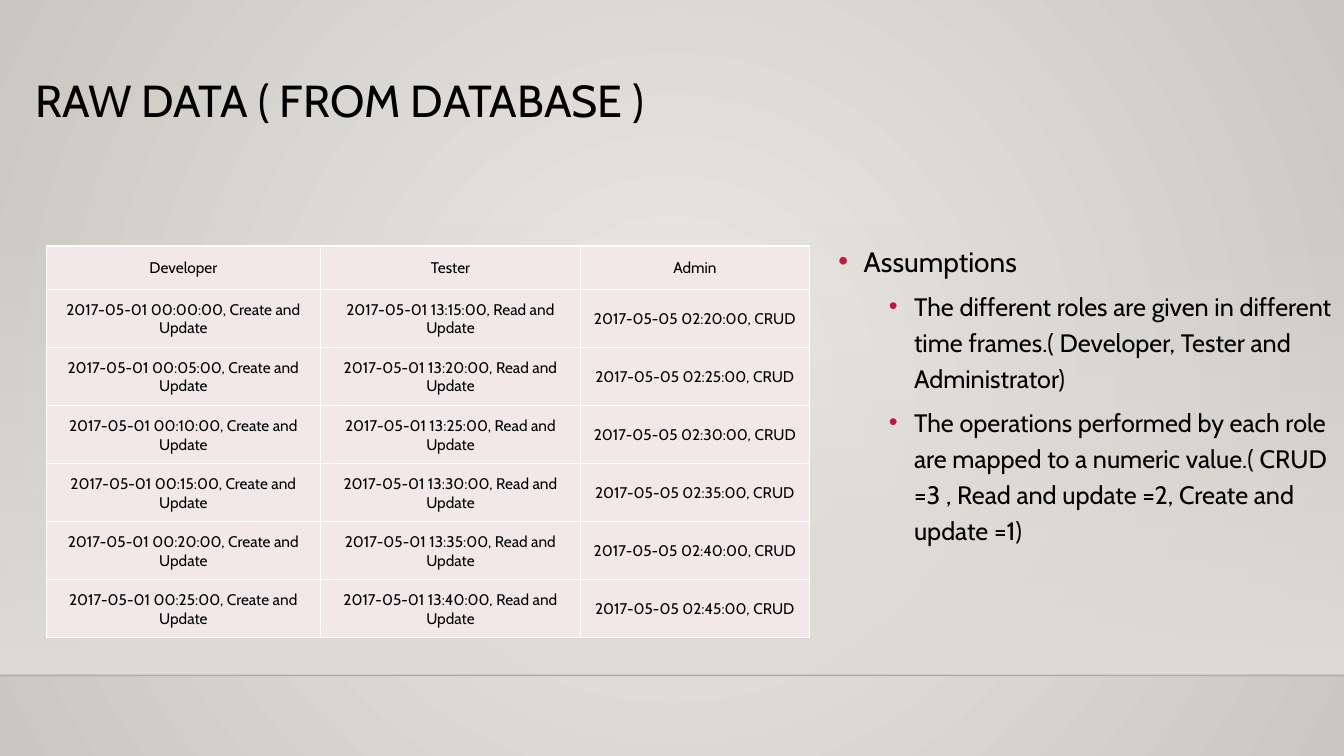
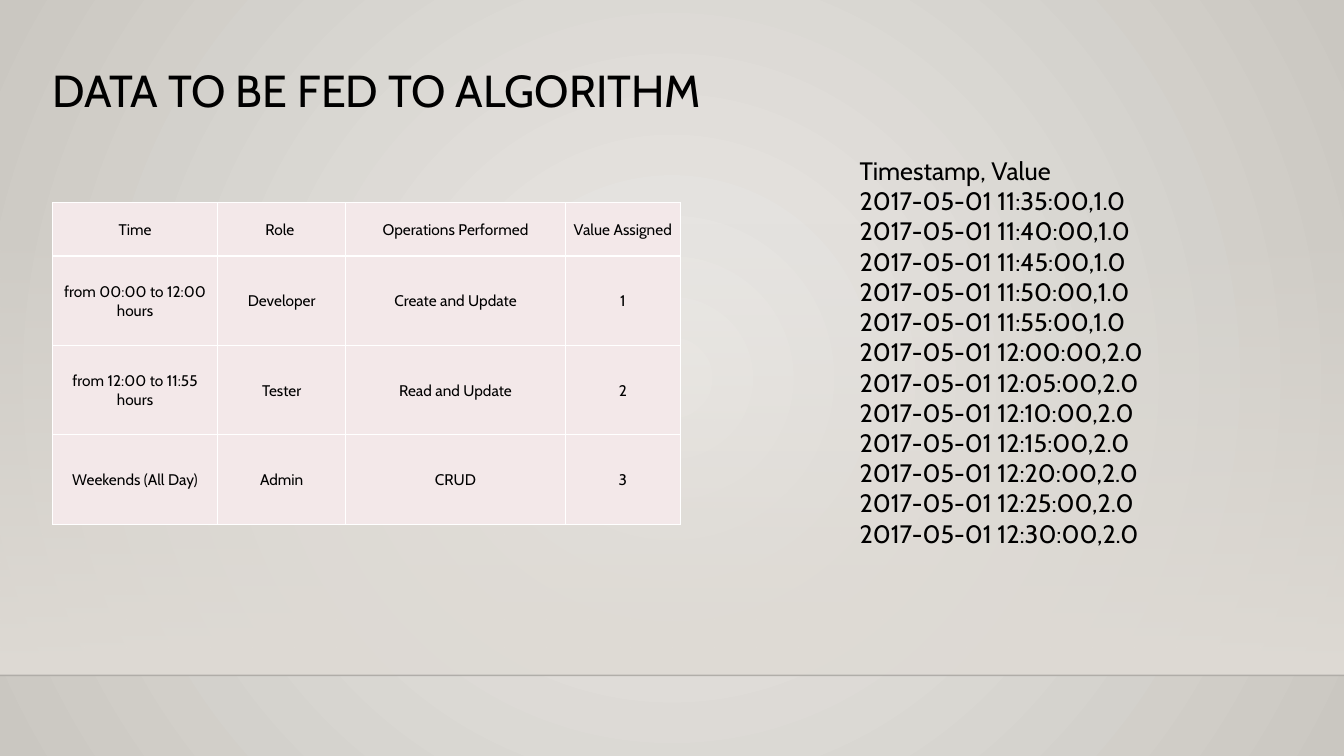
import pptx
import pptx.util
import pptx.dml.color
import pptx.enum.shapes
import pptx.enum.text
import pptx.oxml
import pptx.oxml.ns

RGB = pptx.dml.color.RGBColor
BLACK = RGB(0, 0, 0)
WHITE = RGB(255, 255, 255)
ROSE = RGB(0xF3, 0xE8, 0xE9)
RED = RGB(0xB7, 0x1E, 0x42)
SAND = RGB(0xDF, 0xDB, 0xD5)
LIGHT = RGB(0xEC, 0xEA, 0xE7)
DARK = RGB(0xCA, 0xC7, 0xC1)

FONT = "Cabin"
COLS, ROWS = 160, 90
WIDE, HIGH = 12192000, 6858000
FLOOR = 80.4
MID = pptx.enum.text.MSO_ANCHOR.MIDDLE
CENTER = pptx.enum.text.PP_ALIGN.CENTER
PT = pptx.util.Pt
INCH = pptx.util.Inches

TITLE = {"line_spacing": 0.9}
PLAIN = {}
CENTRED = {"alignment": CENTER}
POINT = {"line_spacing": 1.2, "space_before": PT(10)}
DETAIL = {"line_spacing": 1.2, "space_before": PT(5), "level": 1}
CELL = {"margin_left": INCH(0.01), "margin_right": INCH(0.01),
        "margin_top": INCH(0.01), "margin_bottom": 0, "vertical_anchor": MID}
BARE = {"first_row": False, "horz_banding": False}


def across(n):
    return round(n * WIDE / COLS)


def down(n):
    return round(n * HIGH / ROWS)


def place(left, top, width, height):
    return across(left), down(top), across(width), down(height)


def apply(thing, form):
    for name, value in form.items():
        setattr(thing, name, value)


def node(body):
    return pptx.oxml.parse_xml(body.replace(">", " " + pptx.oxml.ns.nsdecls("a") + ">", 1)
                               if "/>" not in body.split(">")[0] + ">"
                               else body.replace("/>", " " + pptx.oxml.ns.nsdecls("a") + "/>", 1))


def fade(fill, first, last):
    fill.gradient()
    for stop, tint in zip(fill.gradient_stops, (first, last)):
        stop.color.rgb = tint


def thin(part, alpha):
    tint = next(part.iter(pptx.oxml.ns.qn("a:srgbClr")))
    tint.append(node(f'<a:alpha val="{alpha * 1000}"/>'))


def backdrop(deck):
    fill = deck.slide_master.background.fill
    fade(fill, LIGHT, DARK)
    tree = deck.slide_master.element
    line = next(tree.cSld.iter(pptx.oxml.ns.qn("a:lin")))
    line.getparent().replace(line, node(
        '<a:path path="circle"><a:fillToRect l="50000" t="50000" r="50000" b="50000"/></a:path>'))


def stage(slide):
    top = 26.52
    band = slide.shapes.add_shape(pptx.enum.shapes.MSO_SHAPE.RECTANGLE,
                                  *place(0, top, COLS, FLOOR - top))
    band.shadow.inherit = False
    band.line.fill.background()
    fade(band.fill, SAND, SAND)
    band.fill.gradient_angle = 270
    thin(band.element.spPr, 0)
    edge = slide.shapes.add_connector(pptx.enum.shapes.MSO_CONNECTOR.STRAIGHT,
                                      0, down(FLOOR), WIDE, down(FLOOR))
    edge.line.width = PT(1)
    edge.line.color.rgb = BLACK
    thin(edge.element.spPr, 20)
    edge.element.spPr.append(node("<a:effectLst/>"))


def write(para, text, size, form):
    apply(para, form)
    run = para.add_run()
    run.text = text
    apply(run.font, {"name": FONT, "size": PT(size)})
    run.font.color.rgb = BLACK


def bullet(para, indent):
    props = para._p.get_or_add_pPr()
    props.set("marL", str(INCH(indent)))
    props.set("indent", str(INCH(-0.25)))
    for body in (f'<a:buClr><a:srgbClr val="{RED}"/></a:buClr>',
                 '<a:buFont typeface="Arial"/>', '<a:buChar char="•"/>'):
        props.append(node(body))


def lines(slide, spot, items):
    frame = slide.shapes.add_textbox(*place(*spot)).text_frame
    frame.word_wrap = True
    for i, (text, size, form) in enumerate(items):
        para = frame.add_paragraph() if i else frame.paragraphs[0]
        write(para, text, size, form)
        if "space_before" in form:
            bullet(para, 0.75 if "level" in form else 0.25)


def fill_cell(cell, text):
    apply(cell, CELL)
    props = cell._tc.get_or_add_tcPr()
    for side in "LRTB":
        props.append(node(f'<a:ln{side} w="12700"><a:solidFill><a:srgbClr val="{WHITE}"/>'
                          f'</a:solidFill></a:ln{side}>'))
    cell.fill.solid()
    cell.fill.fore_color.rgb = ROSE
    write(cell.text_frame.paragraphs[0], text, 11, CENTRED)


def grid(slide, left, top, widths, head, step, data):
    spot = place(left, top, sum(widths), head + step * (len(data) - 1))
    table = slide.shapes.add_table(len(data), len(widths), *spot).table
    apply(table, BARE)
    for col, width in zip(table.columns, widths):
        col.width = across(width)
    for i, row in enumerate(table.rows):
        row.height = down(step if i else head)
        for cell, text in zip(row.cells, data[i]):
            fill_cell(cell, text)


def clock(start, i):
    hour, mins = divmod(start + 5 * i, 60)
    return f"{hour:02}:{mins:02}:00"


def page(deck, spot, title):
    slide = deck.slides.add_slide(deck.slide_layouts[6])
    stage(slide)
    lines(slide, spot, [(title, 32, TITLE)])
    return slide


def raw_page(deck):
    slide = page(deck, (1.8, 8.76, 140.76, 17.04), " RAW DATA ( FROM DATABASE )")
    lines(slide, (98.64, 27.72, 62.76, 42.84), [
        ("Assumptions", 20, POINT),
        ("The different roles are given in different time frames."
         "( Developer, Tester and Administrator)", 18, DETAIL),
        ("The operations performed by each role are mapped to a numeric value."
         "( CRUD =3 , Read and update =2, Create and update =1)", 18, DETAIL)])
    roles = [("01", 0, "Create and Update"), ("01", 795, "Read and Update"), ("05", 140, "CRUD")]
    data = [("Developer", "Tester", "Admin")]
    data += [[f"2017-05-{day} {clock(start, i)}, {task}" for day, start, task in roles]
             for i in range(6)]
    grid(slide, 5.52, 29.28, (32.64, 30.96, 27.24), 5.16, 6.92, data)


def feed_page(deck):
    slide = page(deck, (5.04, 7.56, 136, 21), "DATA TO BE FED TO ALGORITHM")
    grid(slide, 6.24, 24.12, (19.68, 15.24, 26.16, 13.68), 6.36, 10.64, [
        ("Time", "Role ", "Operations Performed", "Value Assigned"),
        ("from 00:00 to 12:00 hours", "Developer", "Create and Update", "1"),
        ("from 12:00 to 11:55 hours", "Tester", "Read and Update", "2"),
        ("Weekends (All Day)", "Admin", "CRUD", "3")])
    rows = ["Timestamp, Value"]
    rows += [f"2017-05-01 {clock(695, i)},{1.0 if i < 5 else 2.0}" for i in range(12)]
    lines(slide, (101.16, 17.88, 60, 48.48), [(row, 18, PLAIN) for row in rows])


def main():
    deck = pptx.Presentation()
    apply(deck, {"slide_width": WIDE, "slide_height": HIGH})
    backdrop(deck)
    raw_page(deck)
    feed_page(deck)
    deck.save("out.pptx")


main()
